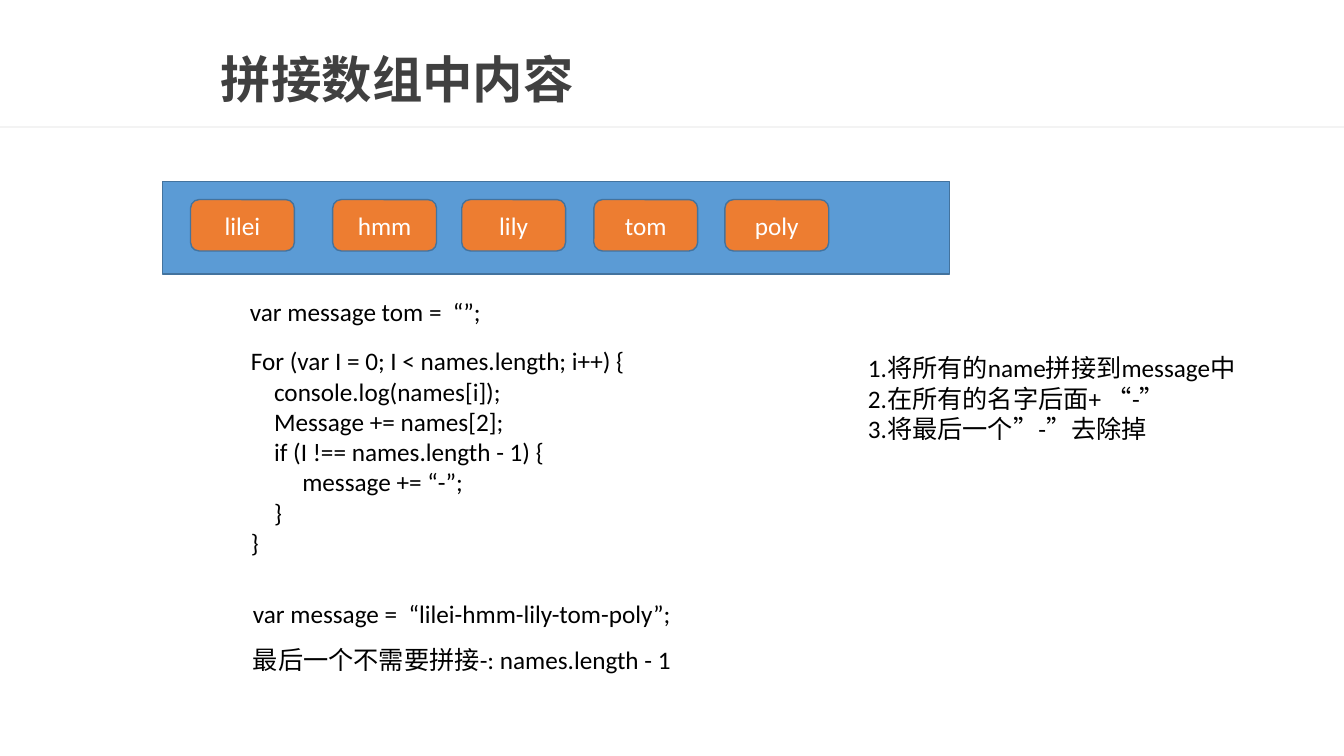
from lxml.etree import SubElement
from pptx import Presentation
from pptx.dml.color import RGBColor
from pptx.enum.shapes import MSO_SHAPE as SHAPE
from pptx.enum.text import MSO_ANCHOR as ANCHOR, PP_ALIGN as ALIGN
from pptx.oxml.ns import qn
from pptx.util import Inches, Pt

COLORS = {"title": "404040", "text": "000000", "rule": "EAEAEA", "array": "5B9BD5",
          "item": "ED7D31", "border": "43739E", "item_text": "FFFFFF"}
LATIN, CJK = "Calibri", "Noto Sans CJK SC"


def add_box(kind, box, fill, border=None):
    shape = slide.shapes.add_shape(kind, *map(Inches, box))
    shape.shadow.inherit = False
    shape.fill.solid()
    shape.fill.fore_color.rgb = RGBColor.from_string(COLORS[fill])
    if border:
        shape.line.color.rgb = RGBColor.from_string(COLORS[border])
        shape.line.width = Pt(1)
    else:
        shape.line.fill.background()
    return shape


def write(paragraph, text, color, **font):
    """Add a run with Latin and East Asian fonts; font values override the defaults."""
    run = paragraph.add_run()
    run.text = text
    for key, value in {"size": Pt(18), "name": LATIN, **font}.items():
        setattr(run.font, key, value)
    run.font.color.rgb = RGBColor.from_string(COLORS[color])
    SubElement(run.font._element, qn("a:ea"), typeface=CJK)


prs = Presentation()
prs.slide_width, prs.slide_height = Inches(13.33), Inches(7.5)
slide = prs.slides.add_slide(prs.slide_layouts[5])

# Two translucent rules overlap under the title
for _ in range(2):
    rule = add_box(SHAPE.RECTANGLE, (-0.01, 1.25, 13.34, 0.02), "rule")
    rule_color = rule.fill._xPr.find(qn("a:solidFill"))[0]
    SubElement(rule_color, qn("a:alpha"), val="32000")

title = slide.shapes.title
title.left, title.top, title.width, title.height = map(Inches, (2.09, 0.43, 11.03, 0.78))
title.text_frame.vertical_anchor = ANCHOR.MIDDLE
heading = title.text_frame.paragraphs[0]
heading.alignment = ALIGN.LEFT
heading.line_spacing = 0.9
write(heading, "拼接数组中内容", "title", size=Pt(36), name=CJK, bold=True)

# The array and its items
add_box(SHAPE.RECTANGLE, (1.61, 1.8, 7.81, 0.92), "array", "border")
for name, left in {"lilei": 1.89, "hmm": 3.3, "lily": 4.58, "tom": 5.89, "poly": 7.19}.items():
    item = add_box(SHAPE.ROUNDED_RECTANGLE, (left, 1.98, 1.03, 0.51), "item", "border")
    item.text_frame.vertical_anchor = ANCHOR.MIDDLE
    label = item.text_frame.paragraphs[0]
    label.alignment = ALIGN.CENTER
    write(label, name, "item_text")

# Code and notes: box, wrap, lines as (indent in inches, text)
blocks = [
    ((2.38, 2.89, 2.52, 0.4), False, [(0, "var message tom =  “”;")]),
    ((2.39, 3.38, 3.96, 2.22), False, [
        (0, "For (var I = 0; I < names.length; i++) {"),
        (0.23, "console.log(names[i]);"),
        (0.23, "Message += names[2];"),
        (0.23, "if (I !== names.length - 1) {"),
        (0.51, "message += “-”;"),
        (0.23, "}"),
        (0, "}")]),
    ((2.41, 5.89, 4.47, 0.4), False, [(0, "var message =  “lilei-hmm-lily-tom-poly”;")]),
    ((2.41, 6.34, 4.39, 0.4), True, [(0, "最后一个不需要拼接-: names.length - 1")]),
    ((8.51, 3.45, 3.88, 1.01), True, [
        (0, "1.将所有的name拼接到message中"),
        (0, "2.在所有的名字后面+ “-”"),
        (0, "3.将最后一个”-”去除掉")]),
]
for box, wrap, lines in blocks:
    frame = slide.shapes.add_textbox(*map(Inches, box)).text_frame
    frame.word_wrap = wrap
    for number, (indent, text) in enumerate(lines):
        line = frame.add_paragraph() if number else frame.paragraphs[0]
        if indent:
            line._p.get_or_add_pPr().set("marL", str(Inches(indent)))
        write(line, text, "text")

prs.save("out.pptx")
